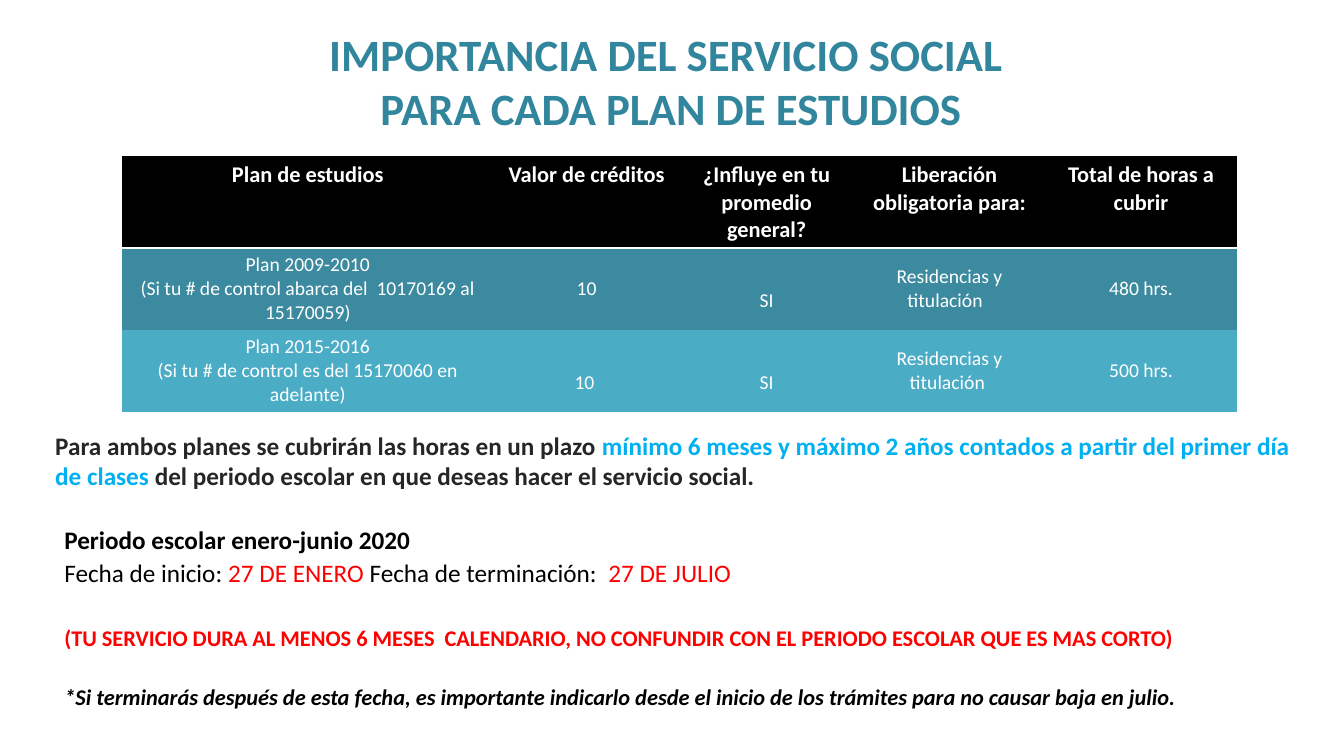
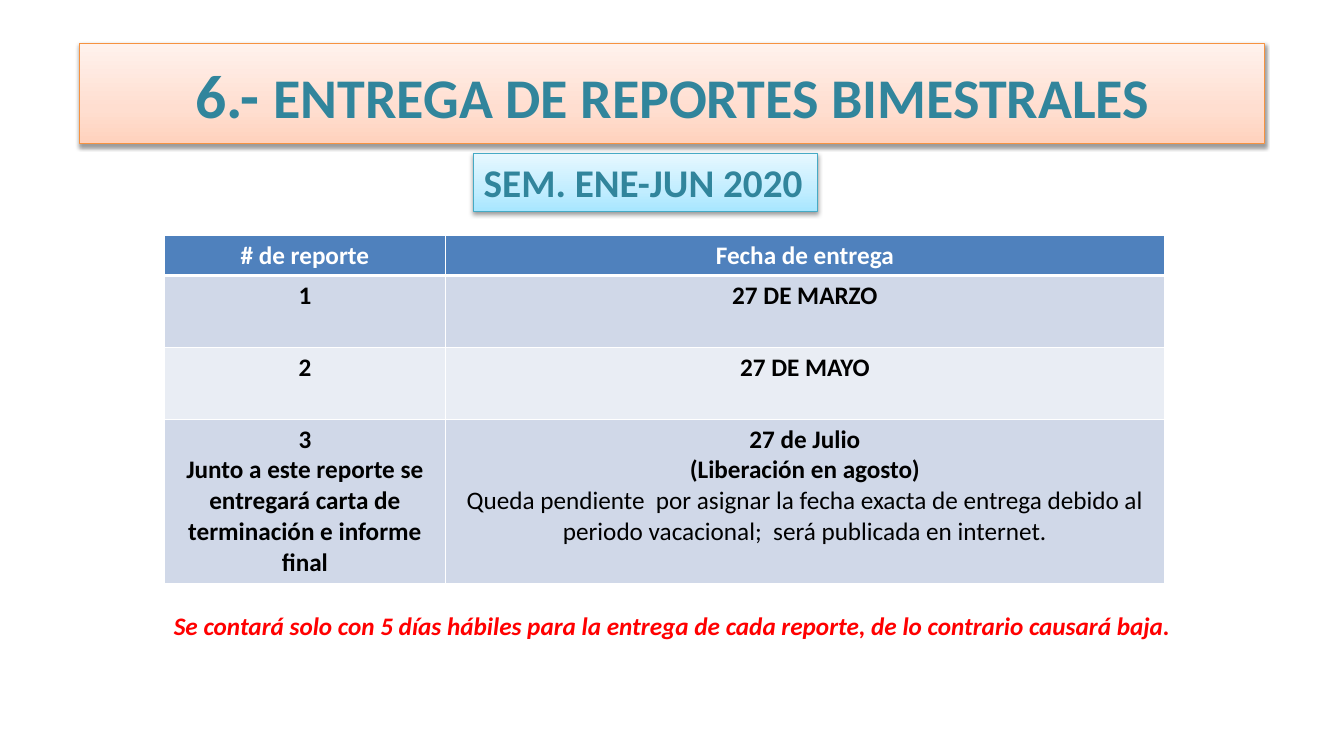
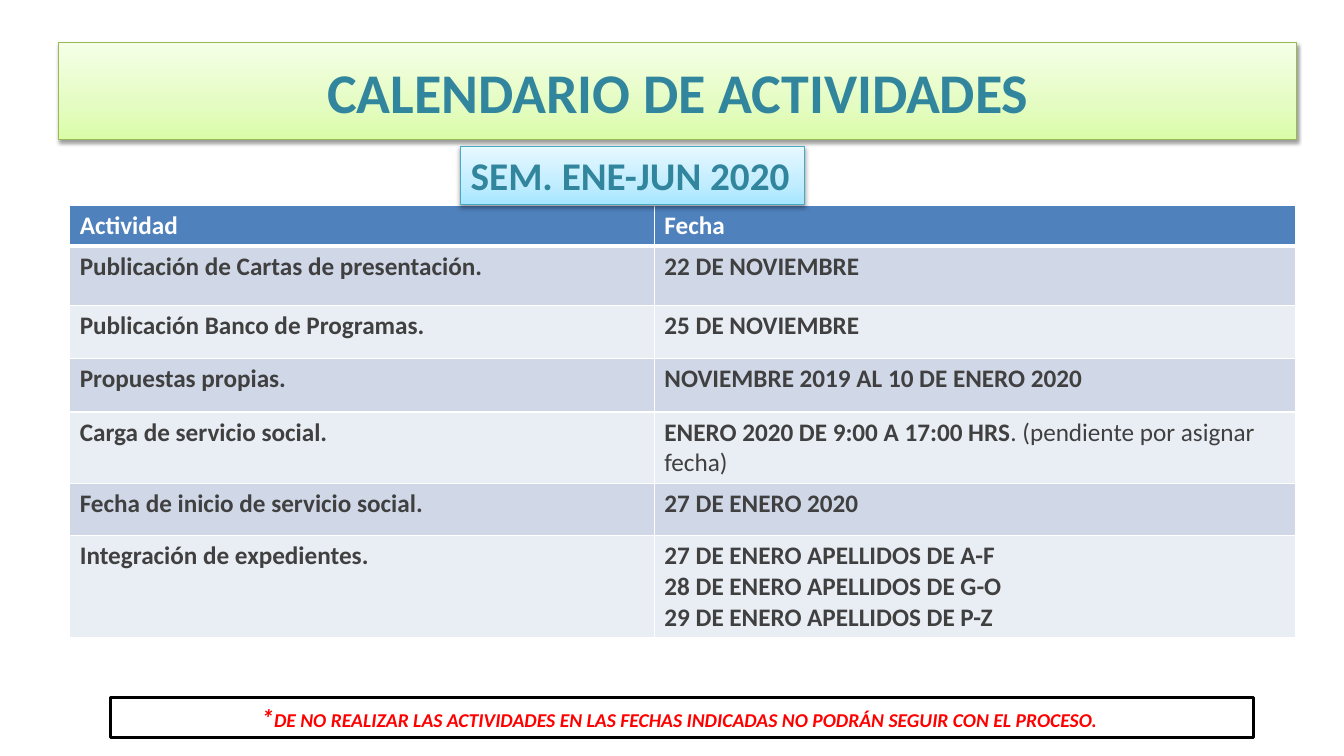
"""Build three slides about social service plans, reports and calendar."""
from dataclasses import dataclass, replace
from typing import Optional, Sequence, Union

from pptx import Presentation
from pptx.dml.color import RGBColor
from pptx.enum.shapes import MSO_SHAPE
from pptx.enum.text import MSO_ANCHOR, PP_ALIGN
from pptx.oxml import parse_xml
from pptx.oxml.ns import nsdecls
from pptx.util import Emu, Inches, Pt

LEFT, CENTER, JUSTIFY = PP_ALIGN.LEFT, PP_ALIGN.CENTER, PP_ALIGN.JUSTIFY
TOP, MIDDLE = MSO_ANCHOR.TOP, MSO_ANCHOR.MIDDLE
RECTANGLE = MSO_SHAPE.RECTANGLE

FONT = "Calibri"
GRID_COLUMNS, GRID_ROWS = 160, 90
GRID_UNIT = Inches(1) / 12
COLORS = {
    "white": "FFFFFF", "black": "000000", "red": "FF0000", "teal": "31859C",
    "sky": "00B0F0", "ink": "262626", "gray": "404040",
    "plan_dark": "3C8A9F", "plan_light": "4BACC6",
    "header": "4F81BD", "band_dark": "D0D8E8", "band_light": "E9EDF4",
}
GRADIENT_POSITIONS = (0, 35, 100)


@dataclass(frozen=True)
class Style:
    """Look of a run of text."""
    size: float
    color: str
    bold: bool = True
    italic: bool = False


@dataclass(frozen=True)
class Span:
    """Words in one style."""
    text: str
    style: Style


@dataclass(frozen=True)
class Line:
    """One paragraph made of spans."""
    spans: Sequence[Span]
    alignment: int = LEFT
    space_before: float = 0
    indent: float = 0
    line_spacing: float = 1.0


@dataclass(frozen=True)
class Box:
    """Place and size in grid columns and rows."""
    left: float
    top: float
    width: float
    height: float


@dataclass(frozen=True)
class Panel:
    """Gradient colours, from bottom to top, and outline of a banner."""
    stops: Sequence[str]
    outline: str


@dataclass(frozen=True)
class TableLook:
    """Colours, borders and text settings of a table."""
    row_fills: Sequence[str]
    header_style: Style
    body_style: Style
    alignment: int
    body_anchor: int
    side_margin: float
    grid_line: float
    header_line: float


Cell = Union[str, Sequence[Line]]

HEADING = Style(40, "teal")
BADGE_STYLE = Style(28, "teal")
HEADER_STYLE = Style(18, "white")
RED_NOTE = Style(18, "red", italic=True)
ORANGE = Panel(("FFD2BD", "FFDED0", "FFF2ED"), "F69240")
GREEN = Panel(("DAFDA7", "E4FCC2", "F5FFE7"), "98B955")
BLUE = Panel(("A7E6FF", "C1EDFF", "E7F8FF"), "46AAC5")
BANDS = ("band_dark", "band_light")
PLAN_LOOK = TableLook(("black", "plan_dark", "plan_light"), Style(16, "white"),
                      Style(14, "white", bold=False), CENTER, MIDDLE, 0.13, 0, 2)
REPORT_LOOK = TableLook(("header", *BANDS, BANDS[0]), HEADER_STYLE,
                        Style(18, "black"), CENTER, TOP, 0.1, 1, 3)
CALENDAR_LOOK = replace(REPORT_LOOK, row_fills=("header", *BANDS * 3),
                        body_style=Style(18, "gray"), alignment=LEFT)


def grid(count: float) -> Emu:
    """Return the length of a number of grid units."""
    return Emu(round(count * GRID_UNIT))


def color(name: str) -> RGBColor:
    """Return a named colour, or one given as hex."""
    return RGBColor.from_string(COLORS.get(name, name))


def lines(text: str, style: Style, alignment: int = LEFT) -> list[Line]:
    """Turn each row of a text into a paragraph of one style."""
    return [Line((Span(row, style),), alignment) for row in text.split("\n")]


def write(text_frame, content: Sequence[Line], anchor: int = TOP) -> None:
    """Fill a text frame with paragraphs."""
    text_frame.word_wrap = True
    text_frame.vertical_anchor = anchor
    write_paragraphs(text_frame, content)


def write_paragraphs(text_frame, content: Sequence[Line]) -> None:
    """Write and format paragraphs one after another."""
    for index, line in enumerate(content):
        paragraph = text_frame.add_paragraph() if index else text_frame.paragraphs[0]
        paragraph.alignment = line.alignment
        paragraph.space_before = Pt(line.space_before)
        paragraph.line_spacing = line.line_spacing
        if line.indent:
            properties = paragraph._p.get_or_add_pPr()
            properties.set("marL", str(Inches(line.indent)))
            properties.set("indent", "0")
        paragraph.text = line.spans[0].text
        format_runs(paragraph.runs, line.spans[0].style)
        for span in line.spans[1:]:
            run = paragraph.add_run()
            run.text = span.text
            format_runs((run,), span.style)


def format_runs(runs: Sequence, style: Style) -> None:
    """Apply a style to runs."""
    for run in runs:
        run.font.name = FONT
        run.font.size = Pt(style.size)
        run.font.bold = style.bold
        run.font.italic = style.italic
        run.font.color.rgb = color(style.color)


def place(box: Box) -> tuple[Emu, Emu, Emu, Emu]:
    """Return the slide lengths of a box."""
    return grid(box.left), grid(box.top), grid(box.width), grid(box.height)


def draw_text(slide, box: Box, content: Sequence[Line], anchor: int = TOP) -> None:
    """Add a text box."""
    write(slide.shapes.add_textbox(*place(box)).text_frame, content, anchor)


def draw_panel(slide, box: Box, panel: Panel, content: Sequence[Line],
               anchor: int = MIDDLE) -> None:
    """Add a gradient rectangle with a soft shadow and text."""
    shape = slide.shapes.add_shape(RECTANGLE, *place(box))
    stops = "".join(
        f'<a:gs pos="{position * 1000}"><a:srgbClr val="{stop}"/></a:gs>'
        for position, stop in zip(GRADIENT_POSITIONS, panel.stops))
    properties = shape._element.spPr
    properties.insert(2, parse_xml(
        f'<a:gradFill {nsdecls("a")} rotWithShape="1"><a:gsLst>{stops}</a:gsLst>'
        '<a:lin ang="16200000" scaled="0"/></a:gradFill>'))
    shape.line.color.rgb = color(panel.outline)
    shape.line.width = Pt(0.75)
    properties.append(parse_xml(
        f'<a:effectLst {nsdecls("a")}><a:outerShdw blurRad="{Pt(3.1)}" '
        f'dist="{Pt(1.6)}" dir="5400000" rotWithShape="0">'
        f'<a:srgbClr val="{COLORS["black"]}"><a:alpha val="38000"/></a:srgbClr>'
        '</a:outerShdw></a:effectLst>'))
    write(shape.text_frame, content, anchor)


def draw_badge(slide, left: float, top: float) -> None:
    """Add the semester label."""
    draw_panel(slide, Box(left, top, 40.9, 6.9), BLUE,
               lines("SEM. ENE-JUN 2020", BADGE_STYLE), TOP)


def set_border(cell, side: str, width: float) -> None:
    """Set one white border of a cell; zero width hides it."""
    fill = (f'<a:solidFill><a:srgbClr val="{COLORS["white"]}"/></a:solidFill>'
            if width else "<a:noFill/>")
    cell._tc.get_or_add_tcPr().append(parse_xml(
        f'<a:ln{side} {nsdecls("a")} w="{Pt(width)}">{fill}</a:ln{side}>'))


def draw_table(slide, left: float, top: float, columns: Sequence[float],
               rows: Sequence[float], look: TableLook,
               content: Sequence[Sequence[Cell]]):
    """Add a table and return it."""
    box = Box(left, top, sum(columns), sum(rows))
    table = slide.shapes.add_table(len(rows), len(columns), *place(box)).table
    for column, width in zip(table.columns, columns):
        column.width = grid(width)
    for row_index, (height, entries) in enumerate(zip(rows, content)):
        table.rows[row_index].height = grid(height)
        is_header = row_index == 0
        style = look.header_style if is_header else look.body_style
        borders = {"L": look.grid_line, "R": look.grid_line,
                   "T": look.header_line if row_index == 1 else look.grid_line,
                   "B": look.header_line if is_header else look.grid_line}
        for column_index, entry in enumerate(entries):
            cell = table.cell(row_index, column_index)
            for side, width in borders.items():
                set_border(cell, side, width)
            cell.fill.solid()
            cell.fill.fore_color.rgb = color(look.row_fills[row_index])
            cell.margin_left = cell.margin_right = Inches(look.side_margin)
            cell.margin_top = cell.margin_bottom = Inches(0.05)
            cell.vertical_anchor = TOP if is_header else look.body_anchor
            if isinstance(entry, str):
                entry = lines(entry, style, look.alignment)
            write_paragraphs(cell.text_frame, entry)
    return table


def build_plans(slide) -> None:
    """Draw the credits and dates of each study plan."""
    draw_text(slide, Box(8.75, 2.5, 142.3, 14.2), lines(
        "IMPORTANCIA DEL SERVICIO SOCIAL \vPARA CADA PLAN DE ESTUDIOS",
        Style(32, "teal"), CENTER), MIDDLE)
    table = draw_table(
        slide, 14.5, 18.6, (44.3, 22.1, 20.75, 22.8, 22.8), (10.9, 9.75, 9.75), PLAN_LOOK, (
            ("Plan de estudios", "Valor de créditos", "¿Influye en tu promedio general?",
             "Liberación obligatoria para:", "Total de horas a cubrir"),
            ("Plan 2009-2010\n(Si tu # de control abarca del  10170169 al 15170059)",
             "10", "SI", "Residencias y titulación  ", "480 hrs."),
            ("Plan 2015-2016\n(Si tu # de control es del 15170060 en adelante)",
             "10 ", "SI", "Residencias y titulación ", "500 hrs."),
        ))
    for row, column in ((1, 2), (2, 1), (2, 2)):
        table.cell(row, column).margin_top = Inches(0.29)

    ink = Style(18, "ink")
    plain = Style(18, "black", bold=False)
    date = replace(plain, color="red")

    def detail(space_before: float, *spans: Span) -> Line:
        """Return an indented paragraph of the dates."""
        return Line(spans, JUSTIFY, space_before, 0.09, 1.1)

    draw_text(slide, Box(5.4, 50.6, 151.2, 34.8), (
        Line((Span("Para ambos planes se cubrirán las horas en un plazo ", ink),
              Span("mínimo 6 meses y máximo 2 años contados a partir del primer día de clases",
                   replace(ink, color="sky")),
              Span(" del periodo escolar en que deseas hacer el servicio social.", ink))),
        detail(22, Span("Periodo escolar enero-junio 2020 ", Style(18, "black"))),
        detail(0, Span("Fecha de inicio: ", plain), Span("27 DE ENERO ", date),
               Span("Fecha de terminación:  ", plain), Span("27 DE JULIO", date)),
        detail(24, Span("(TU SERVICIO DURA AL MENOS 6 MESES  CALENDARIO, NO CONFUNDIR CON "
                        "EL PERIODO ESCOLAR QUE ES MAS CORTO)", Style(16, "red"))),
        detail(21.5, Span("*Si terminarás después de esta fecha, es importante indicarlo desde "
                          "el inicio de los trámites para no causar baja en julio.",
                          Style(16, "black", italic=True))),
    ))


def build_reports(slide) -> None:
    """Draw the delivery dates of the reports."""
    draw_panel(slide, Box(9.5, 5.15, 141.1, 12), ORANGE, (
        Line((Span("6.- ", replace(HEADING, size=44)),
              Span("ENTREGA DE REPORTES BIMESTRALES", HEADING)), CENTER),))
    draw_text(slide, Box(4.55, 72.1, 151, 4.8), lines(
        "Se contará solo con 5 días hábiles para la entrega de cada reporte, "
        "de lo contrario causará baja.", RED_NOTE, CENTER))
    strong = REPORT_LOOK.body_style
    last_date = (
        *lines("27 de Julio\n(Liberación en agosto)", strong, CENTER),
        *lines("Queda pendiente  por asignar la fecha exacta de entrega debido al periodo "
               "vacacional;  será publicada en internet.", replace(strong, bold=False), CENTER),
    )
    draw_table(slide, 19.55, 28, (33.5, 85.55), (4.7, 8.55, 8.55, 19.6), REPORT_LOOK, (
        ("# de reporte", "Fecha de entrega"),
        ("1", "27 DE MARZO"),
        ("2", "27 DE MAYO"),
        ("3\nJunto a este reporte se entregará carta de terminación e informe final", last_date),
    ))
    draw_badge(slide, 56.4, 18.25)


def draw_warning(slide, box: Box, content: Optional[Sequence[Line]]) -> None:
    """Add a white framed note."""
    shape = slide.shapes.add_shape(RECTANGLE, *place(box))
    shape.shadow.inherit = False
    shape.fill.solid()
    shape.fill.fore_color.rgb = color("white")
    shape.line.color.rgb = color("black")
    shape.line.width = Pt(2)
    write(shape.text_frame, content)


def build_calendar(slide) -> None:
    """Draw the calendar of activities."""
    draw_panel(slide, Box(7, 5.1, 147.4, 11.5), GREEN,
               lines("CALENDARIO DE ACTIVIDADES", HEADING, CENTER))
    strong = CALENDAR_LOOK.body_style
    pending = (Line((Span("ENERO 2020 DE 9:00 A 17:00 HRS", strong),
                     Span(". (pendiente por asignar fecha)", replace(strong, bold=False)))),)
    draw_table(slide, 8.3, 24.5, (69.6, 76.3), (4.8, 7.1, 6.3, 6.35, 8.5, 6.2, 12.2),
               CALENDAR_LOOK, (
        ("Actividad", "Fecha"),
        ("Publicación de Cartas de presentación. ", "22 DE NOVIEMBRE"),
        ("Publicación Banco de Programas.", "25 DE NOVIEMBRE"),
        ("Propuestas propias.", "NOVIEMBRE 2019 AL 10 DE ENERO 2020 "),
        ("Carga de servicio social.", pending),
        ("Fecha de inicio de servicio social.", "27 DE ENERO 2020"),
        ("Integración de expedientes.",
         "27 DE ENERO APELLIDOS DE A-F\n28 DE ENERO APELLIDOS DE G-O\n"
         "29 DE ENERO APELLIDOS DE P-Z"),
    ))
    draw_warning(slide, Box(13.2, 83, 136, 4.8), (
        Line((Span("*", RED_NOTE),
              Span("DE NO REALIZAR LAS ACTIVIDADES EN LAS FECHAS INDICADAS NO PODRÁN "
                   "SEGUIR CON EL PROCESO. ", replace(RED_NOTE, size=14))), CENTER),))
    draw_badge(slide, 54.85, 17.4)


def main() -> None:
    """Build and save the presentation."""
    presentation = Presentation()
    presentation.slide_width = grid(GRID_COLUMNS)
    presentation.slide_height = grid(GRID_ROWS)
    blank = presentation.slide_layouts[6]
    for build in (build_plans, build_reports, build_calendar):
        build(presentation.slides.add_slide(blank))
    presentation.save("out.pptx")


main()
